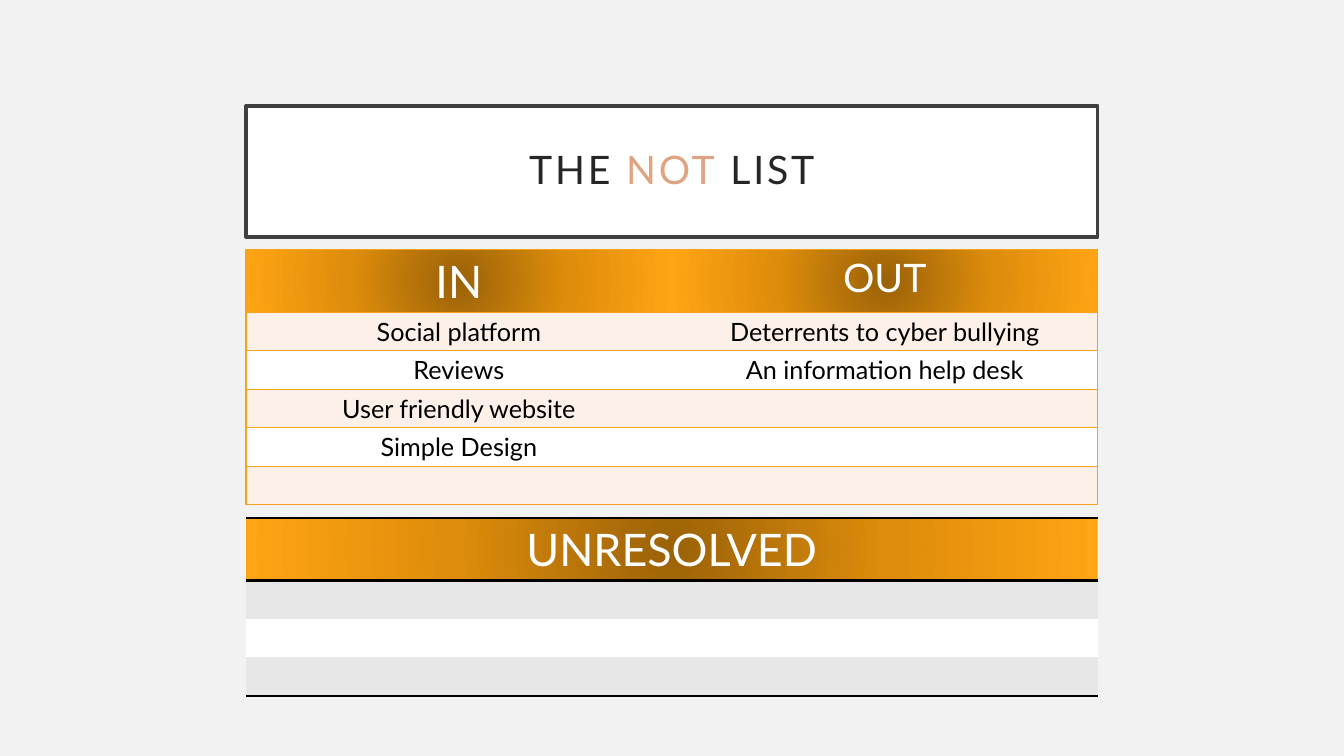
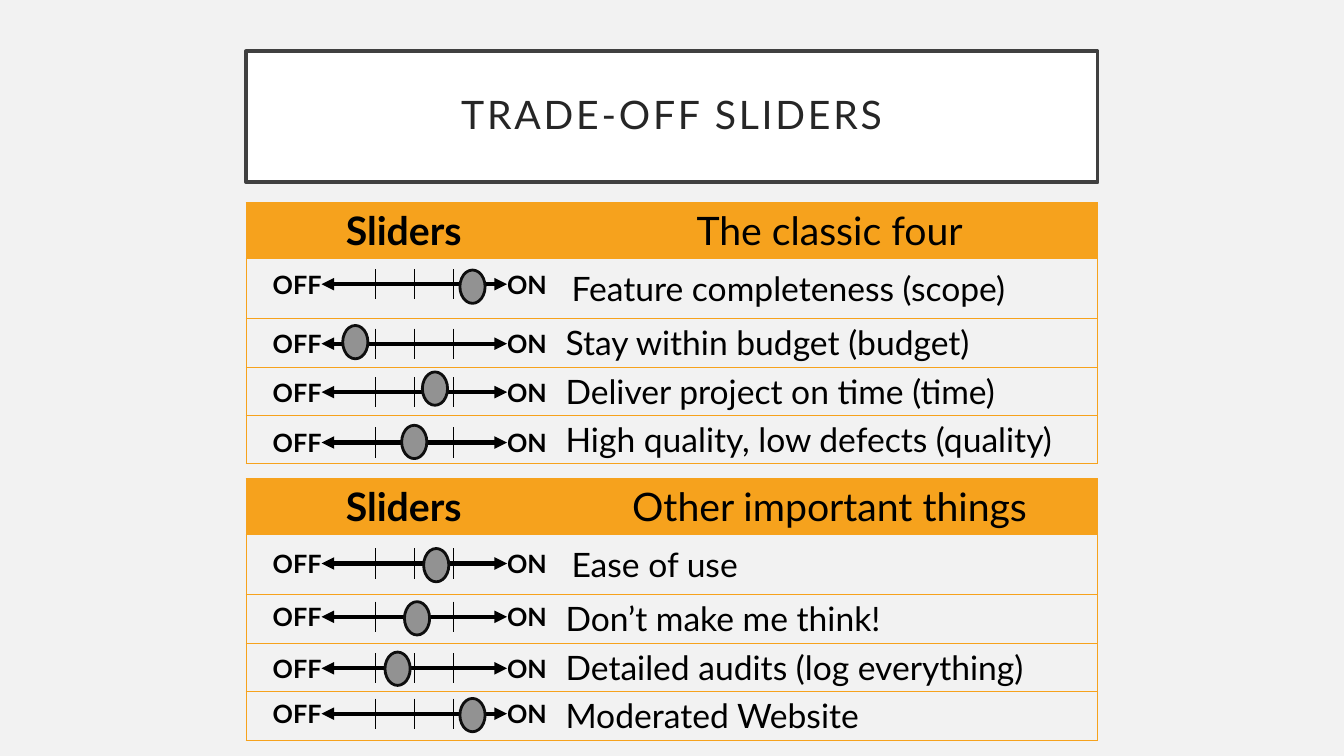
import pptx
import pptx.util
import pptx.dml.color
import pptx.enum.shapes
import pptx.enum.text
import pptx.oxml
import pptx.oxml.ns

Pt = pptx.util.Pt
ALIGN = pptx.enum.text.PP_ALIGN
MIDDLE = pptx.enum.text.MSO_ANCHOR.MIDDLE
TOP = pptx.enum.text.MSO_ANCHOR.TOP
LINE = pptx.enum.shapes.MSO_CONNECTOR.STRAIGHT

# Content
NOT_TITLE = [("THE ", "ink"), ("NOT", "accent"), (" LIST", "ink")]
IN_OUT = [
    ("IN", "OUT"),
    ("Social platform", "Deterrents to cyber bullying"),
    ("Reviews", "An information help desk"),
    ("User friendly website", ""),
    ("Simple Design", ""),
    ("", ""),
]
UNRESOLVED = [("UNRESOLVED",), ("",), ("",), ("",)]

SLIDER_TITLE = [("TRADE-OFF SLIDERS", "ink")]
# Each topic: name, height of its axis, centre of its knob
TRADE_OFFS = [
    (144.6, "The classic four", [
        ("Feature completeness (scope)", 203, (337.5, 204.8)),
        ("Stay within budget (budget)", 245.5, (253.8, 244.4)),
        ("Deliver project on time (time)", 280.1, (310.7, 277.6)),
        ("High quality, low defects (quality)", 316.1, (295.9, 315.7)),
    ]),
    (341.8, "Other important things", [
        ("Ease of use", 402.5, (311.6, 403.7)),
        ("Don’t make me think!", 440.6, (297.9, 441.7)),
        ("Detailed audits (log everything)", 477.4, (284, 477.7)),
        ("Moderated Website", 509.8, (337.5, 510.8)),
    ]),
]

# Shared look
FONT = "Lato"
COLORS = {
    "back": "F2F2F2", "white": "FFFFFF", "black": "000000", "ink": "262626",
    "frame": "404040", "accent": "E0A382", "orange": "F6A21D",
    "peach": "FDF0E8", "gray": "E7E7E7", "knob": "929292", "rim": "0E0E0E",
}
GLOW = [(0, "9B6208"), (50, "DD8C0B"), (100, "FFA414")]
LEFT, WIDTH = 175.7, 608.4
INSET = 2.9

# Slider geometry
AXIS_START, AXIS_END = 229.7, 362.2
TICK_GAP, TICK_HALF = 27.8, 10.8
LABEL_W, LABEL_H = 36.5, 21.6
KNOB_W, KNOB_H = 18, 23.8


def rgb(name):
    return pptx.dml.color.RGBColor.from_string(COLORS[name])


def xml(tag, body, attrs=""):
    return pptx.oxml.parse_xml(
        f'<a:{tag} {pptx.oxml.ns.nsdecls("a")} {attrs}>{body}</a:{tag}>')


def add_run(p, text, size, color, bold=False):
    r = p.add_run()
    r.text = text
    r.font.name, r.font.size, r.font.bold = FONT, Pt(size), bold
    r.font.color.rgb = rgb(color)
    return r


def set_insets(target, x, y):
    target.margin_left = target.margin_right = Pt(x)
    target.margin_top = target.margin_bottom = Pt(y)


def titled_slide(prs, runs, top):
    s = prs.slides.add_slide(prs.slide_layouts[5])
    title = s.shapes.title
    title.left, title.top, title.width, title.height = map(
        Pt, (LEFT, top, WIDTH, 93.6))
    title.fill.solid()
    title.fill.fore_color.rgb = rgb("white")
    title.line.color.rgb = rgb("frame")
    title.line.width = Pt(2.5)
    tf = title.text_frame
    tf.word_wrap = True
    tf.auto_size = pptx.enum.text.MSO_AUTO_SIZE.NONE
    tf.vertical_anchor = MIDDLE
    set_insets(tf, 14.4, 14.4)
    p = tf.paragraphs[0]
    p.alignment, p.line_spacing = ALIGN.CENTER, 0.9
    for text, color in runs:
        r = add_run(p, text, 28, color)
        r.font._element.set("spc", "200")
    return s


def set_borders(cell, color, widths):
    """widths holds the left, right, top and bottom weights; 0 is no line."""
    for side, weight in zip("LRTB", widths):
        body = "<a:noFill/>"
        if weight:
            body = f'<a:solidFill><a:srgbClr val="{COLORS[color]}"/></a:solidFill>'
        cell._tc.get_or_add_tcPr().append(
            xml("ln" + side, body, f'w="{int(Pt(weight))}"'))


def set_fill(cell, fill):
    if fill == "glow":
        stops = "".join(f'<a:gs pos="{pos * 1000}"><a:srgbClr val="{c}"/></a:gs>'
                        for pos, c in GLOW)
        cell._tc.get_or_add_tcPr().append(xml(
            "gradFill", f'<a:gsLst>{stops}</a:gsLst><a:path path="circle">'
            '<a:fillToRect l="50000" t="50000" r="50000" b="50000"/></a:path>'))
    elif fill:
        cell.fill.solid()
        cell.fill.fore_color.rgb = rgb(fill)
    else:
        cell.fill.background()


def add_table(s, top, widths, heights, rows, fills, rule, style):
    """rule: colour, weight, side lines or not, rows with a line above.
    style(row, column) gives size, colour, bold, alignment, inset, anchor."""
    color, weight, sides, ruled = rule
    table = s.shapes.add_table(
        len(rows), len(widths), Pt(LEFT), Pt(top),
        Pt(sum(widths)), Pt(sum(heights))).table
    table.first_row = table.horz_banding = False
    for column, width in zip(table.columns, widths):
        column.width = Pt(width)
    for i, texts in enumerate(rows):
        table.rows[i].height = Pt(heights[i])
        for j, text in enumerate(texts):
            cell = table.cell(i, j)
            size, ink, bold, align, inset, anchor = style(i, j)
            set_insets(cell, inset, inset if text else 0)
            cell.vertical_anchor = anchor
            ends = (sides and j == 0, sides and j == len(widths) - 1,
                    i in ruled, i + 1 in ruled)
            set_borders(cell, color, [weight * bool(end) for end in ends])
            set_fill(cell, fills[i])
            if text:
                p = cell.text_frame.paragraphs[0]
                p.alignment = align
                add_run(p, text, size, ink, bold)


def list_style(i, j):
    if i == 0:
        return (28 if j else 32), "white", False, ALIGN.CENTER, INSET, TOP
    return 18, "black", False, ALIGN.CENTER, INSET, TOP


def slider_style(i, j):
    if i == 0:
        return 28, "black", j == 0, ALIGN.CENTER, INSET, MIDDLE
    return 24, "black", False, ALIGN.LEFT, 7.2 if i == 1 else INSET, MIDDLE


def add_line(shapes, x1, y1, x2, y2, weight, arrows=False):
    line = shapes.add_connector(LINE, Pt(x1), Pt(y1), Pt(x2), Pt(y2))
    line.line.color.rgb = rgb("black")
    line.line.width = Pt(weight)
    if arrows:
        for end in ("headEnd", "tailEnd"):
            line.line._get_or_add_ln().append(xml(end, "", 'type="triangle"'))
    line._element.spPr.append(xml("effectLst", ""))


def add_label(shapes, text, x, y, align):
    tf = shapes.add_textbox(Pt(x), Pt(y), Pt(LABEL_W), Pt(LABEL_H)).text_frame
    tf.word_wrap = False
    set_insets(tf, 0, 0)
    tf.paragraphs[0].alignment = align
    add_run(tf.paragraphs[0], text, 18, "black", True)


def add_slider(s, y, knob_center):
    # Scale
    shapes = s.shapes.add_group_shape().shapes
    top, bottom = y - TICK_HALF, y + TICK_HALF
    add_label(shapes, "OFF", AXIS_START - LABEL_W, top, ALIGN.RIGHT)
    add_line(shapes, AXIS_START, y, AXIS_END, y, 3, arrows=True)
    add_label(shapes, "ON", AXIS_END, top, ALIGN.LEFT)
    for step in (-1, 0, 1):
        x = (AXIS_START + AXIS_END) / 2 + step * TICK_GAP
        add_line(shapes, x, top, x, bottom, 1)
    # Knob
    x, y = knob_center
    knob = s.shapes.add_shape(
        pptx.enum.shapes.MSO_SHAPE.OVAL, Pt(x - KNOB_W / 2),
        Pt(y - KNOB_H / 2), Pt(KNOB_W), Pt(KNOB_H))
    knob.shadow.inherit = False
    knob.fill.solid()
    knob.fill.fore_color.rgb = rgb("knob")
    knob.line.color.rgb = rgb("rim")
    knob.line.width = Pt(2)


prs = pptx.Presentation()
prs.slide_width, prs.slide_height = Pt(960), Pt(540)
background = prs.slide_master.background.fill
background.solid()
background.fore_color.rgb = rgb("back")

# The not list
s = titled_slide(prs, NOT_TITLE, 75.6)
add_table(s, 178.4, [WIDTH / 2] * 2, [44.6] + [27.5] * 5, IN_OUT,
          ["glow", "peach", "white", "peach", "white", "peach"],
          ("orange", 1, True, range(7)), list_style)
add_table(s, 370, [WIDTH], [44.6] + [27.5] * 3, UNRESOLVED,
          ["glow", "gray", "white", "gray"],
          ("black", 2, False, (0, 1, 4)), list_style)

# Trade-off sliders
s = titled_slide(prs, SLIDER_TITLE, 36.6)
for top, heading, topics in TRADE_OFFS:
    rows = [("Sliders", heading)] + [("", name) for name, _, _ in topics]
    add_table(s, top, [225.4, 383], [39.6, 43.2] + [34.6] * 3, rows,
              ["orange"] + [None] * 4,
              ("orange", 0.5, True, range(6)), slider_style)
for _, _, topics in TRADE_OFFS:
    for _, axis_y, knob_center in topics:
        add_slider(s, axis_y, knob_center)

prs.save("out.pptx")
